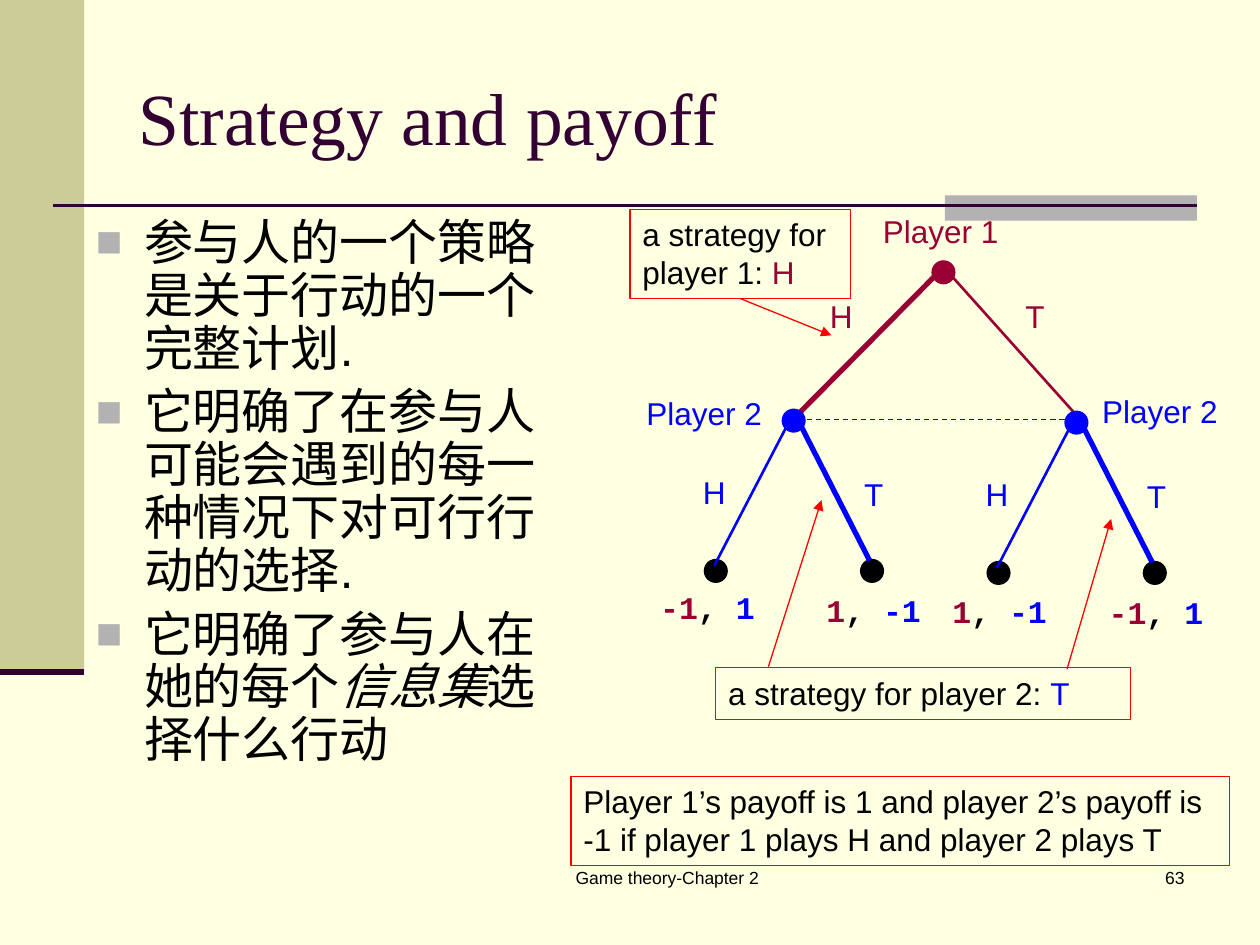
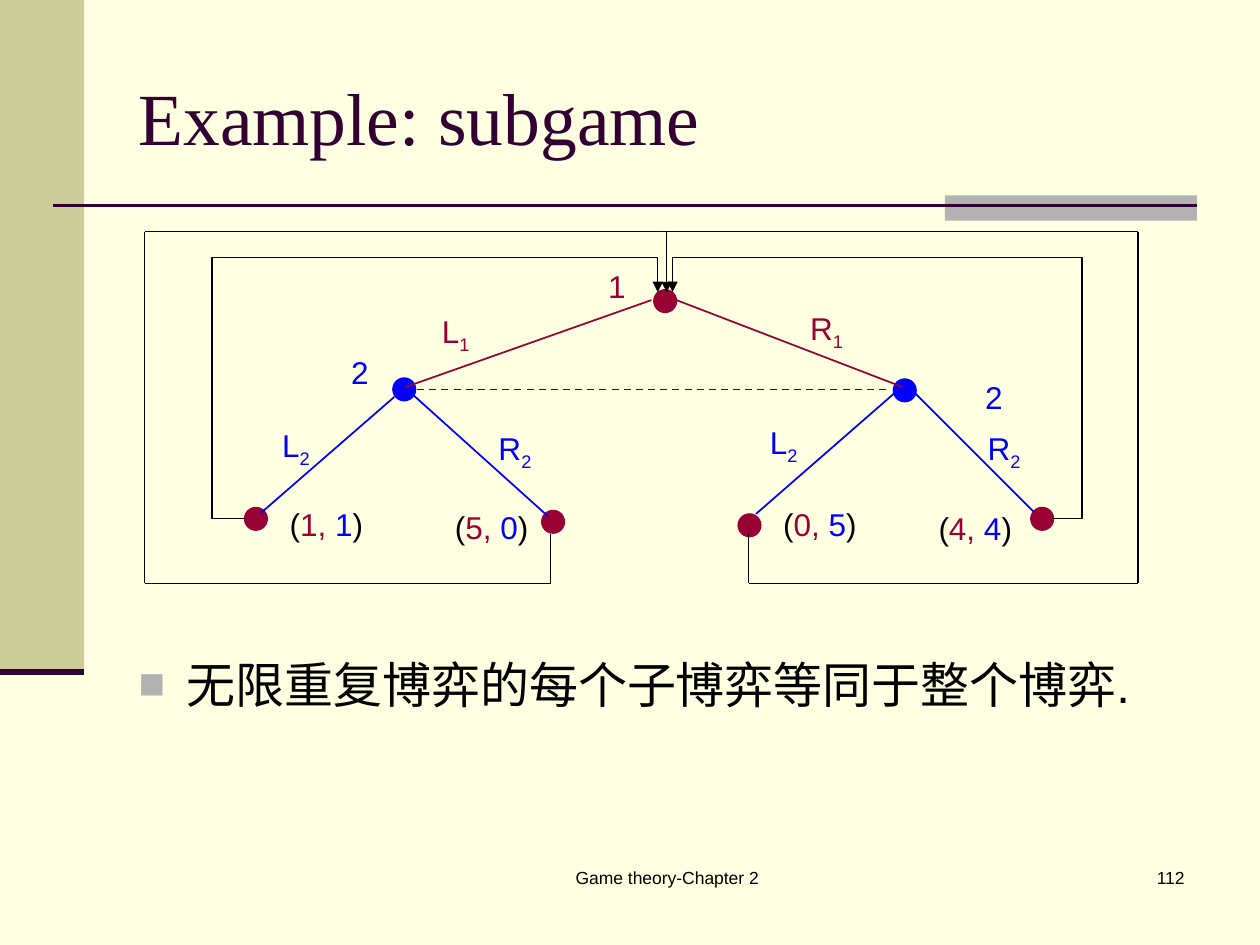
from dataclasses import dataclass
from lxml.etree import SubElement
from pptx import Presentation
from pptx.dml.color import RGBColor
from pptx.enum.dml import MSO_LINE
from pptx.enum.shapes import MSO_CONNECTOR, MSO_SHAPE
from pptx.enum.text import MSO_ANCHOR, MSO_AUTO_SIZE, PP_ALIGN
from pptx.oxml.ns import qn
from pptx.util import Cm, Pt


@dataclass(frozen=True)
class Theme:
    paper: str = "FFFFE1"
    band: str = "CCCC99"
    gray: str = "B2B2B2"
    plum: str = "330033"
    red: str = "990033"
    blue: str = "0000FF"
    black: str = "000000"
    note: str = "FF0000"
    serif: str = "Times New Roman"
    sans: str = "Arial"
    mono: str = "Courier New"
    head: int = 42
    body: int = 28
    label: int = 18
    foot: int = 10
    dot: float = 0.46


T = Theme()
FOOT = "Game theory-Chapter 2"


def pair(one, two):
    return [(one, T.red), (", ", T.black), (two, T.blue)]


def payoff(one, two):
    return [("(", T.black), (f"{one}, ", T.red), (two, T.blue), (")", T.black)]


def move(name, color, sub=""):
    return [(name, color)] + ([(sub, color, "sub")] if sub else [])


PLAN = dict(
    title="Strategy and payoff",
    page="63",
    frame=(1.68, 4.27, 10.24, 12.57),
    space=0.9,
    points=[
        [("参与人的一个策略是关于行动的一个完整计划.", T.black)],
        [("它明确了在参与人可能会遇到的每一种情况下对可行行动的选择.", T.black)],
        [("它明确了参与人在她的每个", T.black), ("信息集", T.black, "italic"),
         ("选择什么行动", T.black)],
    ],
    nodes=[(19.02, 5.49, T.red)],
    edges=[
        (18.82, 5.59, 16.08, 8.36, T.red, 3),
        (19.18, 5.56, 21.69, 8.36, T.red, 1.5),
    ],
    dash=(16.26, 8.46, 21.54, 8.46, T.blue, 0.75),
    labels=[
        (17.55, 4.14, 3.05, move("Player 1", T.red)),
        (16.48, 5.87, 0.94, move("H", T.red)),
        (20.42, 5.87, 1.02, move("T", T.red)),
        (12.78, 7.82, 2.95, move("Player 2", T.blue)),
        (21.97, 7.77, 2.95, move("Player 2", T.blue)),
    ],
    scores=[
        (13.06, 11.73, 2.46, pair("-1", "1")),
        (16.41, 11.79, 2.44, pair("1", "-1")),
        (18.95, 11.81, 2.46, pair("1", "-1")),
        (22.1, 11.84, 2.44, pair("-1", "1")),
    ],
)

HALF = dict(
    nodes=[(16, 8.48, T.blue), (14.43, 11.51, T.black), (17.58, 11.51, T.black)],
    edges=[
        (15.85, 8.61, 14.4, 11.4, T.blue, 1.5),
        (16.15, 8.59, 17.53, 11.3, T.blue, 3),
    ],
    labels=[
        (13.92, 9.42, 1.19, move("H", T.blue)),
        (17.17, 9.45, 1.04, move("T", T.blue)),
    ],
)
SHIFTS = [(0, 0), (5.7, 0.04)]

NOTES = [
    (12.7, 4.22, 4.45, 1.8, [("a strategy for player 1: ", T.black), ("H", T.red)]),
    (14.43, 13.46, 8.36, 1.04, [("a strategy for player 2: ", T.black), ("T", T.blue)]),
    (11.51, 15.65, 13.28, 1.8,
     [("Player 1’s payoff is 1 and player 2’s payoff is -1 "
       "if player 1 plays H and player 2 plays T", T.black)]),
]
HINTS = [
    (14.92, 6.02, 16.76, 6.76),
    (15.49, 13.44, 16.56, 10.08),
    (21.51, 13.49, 22.4, 10.46),
]

GAME = dict(
    title="Example: subgame",
    page="112",
    frame=(2.54, 13.06, 21.59, 3.99),
    space=1.0,
    points=[[("无限重复博弈的每个子博弈等同于整个博弈.", T.black)]],
    nodes=[
        (13.41, 6.07, T.red), (8.15, 7.85, T.blue), (18.24, 7.87, T.blue),
        (5.16, 10.46, T.red), (11.15, 10.52, T.red),
        (15.11, 10.59, T.red), (21.01, 10.46, T.red),
    ],
    edges=[
        (13.13, 6.05, 8.18, 7.8, T.red, 1),
        (13.56, 6.02, 18.19, 7.8, T.red, 1),
        (7.95, 8, 5.26, 10.34, T.blue, 1),
        (8.26, 7.9, 11.05, 10.41, T.blue, 1),
        (18.06, 7.9, 15.24, 10.36, T.blue, 1),
        (18.39, 7.87, 20.83, 10.31, T.blue, 1),
    ],
    dash=(8.41, 7.85, 17.96, 7.85, T.blue, 1),
    labels=[
        (12.01, 5.26, 1.12, move("1", T.red)),
        (8.66, 6.17, 1.19, move("L", T.red, "1")),
        (16.08, 6.1, 1.5, move("R", T.red, "1")),
        (6.83, 6.99, 0.97, move("2", T.blue)),
        (5.44, 8.46, 1.19, move("L", T.blue, "2")),
        (9.8, 8.53, 1.32, move("R", T.blue, "2")),
        (19.61, 7.49, 0.99, move("2", T.blue)),
        (15.27, 8.41, 1.19, move("L", T.blue, "2")),
        (19.66, 8.53, 1.27, move("R", T.blue, "2")),
        (5.59, 10.06, 2.13, payoff("1", "1")),
        (8.92, 10.11, 2.13, payoff("5", "0")),
        (15.54, 10.06, 2.13, payoff("0", "5")),
        (18.67, 10.13, 2.13, payoff("4", "4")),
    ],
    scores=[],
)
LOOPS = [(4.93, 10.46, 13.26, 5.89), (21.21, 10.46, 13.56, 5.89)]
LEFT, RIGHT, TOP, BASE = 2.92, 22.94, 4.67, 11.76
STEMS = [(11.1, LEFT), (15.09, RIGHT)]
STEM = 10.77
ROOT = (13.44, 5.89)


def rgb(color):
    return RGBColor.from_string(color)


def write(para, runs, size, face=T.sans, bold=None):
    para.font.name, para.font.size, para.font.bold = face, Pt(size), bold
    shades = {run[1] for run in runs}
    if len(shades) == 1:
        para.font.color.rgb = rgb(runs[0][1])
    for text, color, *style in runs:
        run = para.add_run()
        run.text = text
        if len(shades) > 1:
            run.font.color.rgb = rgb(color)
        if "italic" in style:
            run.font.italic = True
        if "sub" in style:
            run._r.get_or_add_rPr().set("baseline", "-25000")


def label(slide, x, y, w, runs, h=1.02, size=T.label, face=T.sans,
          bold=None, align=PP_ALIGN.LEFT):
    box = slide.shapes.add_textbox(Cm(x), Cm(y), Cm(w), Cm(h))
    box.text_frame.word_wrap = True
    para = box.text_frame.paragraphs[0]
    para.alignment = align
    write(para, runs, size, face, bold)


def shape(slide, kind, x, y, w, h, fill=None, line=None):
    item = slide.shapes.add_shape(kind, Cm(x), Cm(y), Cm(w), Cm(h))
    item.shadow.inherit = False
    if fill:
        item.fill.solid()
        item.fill.fore_color.rgb = rgb(fill)
    else:
        item.fill.background()
    if line:
        item.line.color.rgb = rgb(line)
        item.line.width = Pt(0.75)
    else:
        item.line.fill.background()
    return item


def link(slide, x1, y1, x2, y2, color=T.black, width=0.75,
         arrow=False, dash=False, kind=MSO_CONNECTOR.STRAIGHT):
    line = slide.shapes.add_connector(kind, Cm(x1), Cm(y1), Cm(x2), Cm(y2))
    line.line.color.rgb = rgb(color)
    line.line.width = Pt(width)
    if dash:
        line.line.dash_style = MSO_LINE.DASH
    props = line._element.spPr
    if arrow:
        SubElement(props.find(qn("a:ln")), qn("a:tailEnd"), type="triangle")
    SubElement(props, qn("a:effectLst"))
    return line


def loop(slide, ends):
    line = link(slide, *ends, arrow=True, kind=MSO_CONNECTOR.ELBOW)
    geom = line._element.spPr.find(qn("a:prstGeom"))
    geom.set("prst", "bentConnector4")
    guides = geom.find(qn("a:avLst"))
    if guides is None:
        guides = SubElement(geom, qn("a:avLst"))
    for name, value in (("adj1", -7900), ("adj2", 115400)):
        SubElement(guides, qn("a:gd"), name=name, fmla=f"val {value}")


def place(item, x, y, w, h):
    item.left, item.top, item.width, item.height = Cm(x), Cm(y), Cm(w), Cm(h)
    item.text_frame.auto_size = MSO_AUTO_SIZE.NONE
    return item.text_frame


def bullet(para):
    props = para._p.get_or_add_pPr()
    props.set("marL", str(Cm(0.97)))
    props.set("indent", str(-Cm(0.97)))
    SubElement(SubElement(props, qn("a:buClr")), qn("a:srgbClr"), val=T.gray)
    SubElement(props, qn("a:buSzPct"), val="90000")
    SubElement(props, qn("a:buFont"), typeface=T.sans)
    SubElement(props, qn("a:buChar"), char="■")


def tree(slide, nodes, edges, labels, dx=0, dy=0):
    for x, y, color in nodes:
        shape(slide, MSO_SHAPE.OVAL, x + dx - T.dot / 2, y + dy - T.dot / 2,
              T.dot, T.dot, color, color)
    for x1, y1, x2, y2, color, width in edges:
        link(slide, x1 + dx, y1 + dy, x2 + dx, y2 + dy, color, width)
    for x, y, w, runs in labels:
        label(slide, x + dx, y + dy, w, runs)


def start(deck, data):
    slide = deck.slides.add_slide(deck.slide_layouts[1])
    shape(slide, MSO_SHAPE.RECTANGLE, 0, 0, 1.7, 13.54, T.band)
    shape(slide, MSO_SHAPE.RECTANGLE, 19.05, 3.94, 5.08, 0.51, T.gray)
    link(slide, 1.07, 4.14, 24.13, 4.14, T.plum, 1.5)
    link(slide, 0, 13.54, 1.7, 13.54, T.plum, 3.5)
    label(slide, 9.32, 17.35, 8.26, [(FOOT, T.black)], 1.27, T.foot,
          align=PP_ALIGN.CENTER)
    label(slide, 18.85, 17.35, 5.28, [(data["page"], T.black)], 1.27, T.foot,
          align=PP_ALIGN.RIGHT)
    head = place(slide.shapes.title, 2.54, 0.76, 21.59, 3.18)
    head.vertical_anchor = MSO_ANCHOR.MIDDLE
    head.paragraphs[0].alignment = PP_ALIGN.LEFT
    write(head.paragraphs[0], [(data["title"], T.plum)], T.head, T.serif)
    body = place(slide.placeholders[1], *data["frame"])
    for i, runs in enumerate(data["points"]):
        para = body.add_paragraph() if i else body.paragraphs[0]
        para.line_spacing = data["space"]
        para.space_before = Pt(6 if i else 0)
        bullet(para)
        write(para, runs, T.body)
    tree(slide, data["nodes"], data["edges"], data["labels"])
    link(slide, *data["dash"], dash=True)
    for score in data["scores"]:
        label(slide, *score, face=T.mono, bold=True)
    return slide


def main():
    deck = Presentation()
    deck.slide_width, deck.slide_height = Cm(25.4), Cm(19.05)
    back = deck.slide_master.background.fill
    back.solid()
    back.fore_color.rgb = rgb(T.paper)

    plan = start(deck, PLAN)
    for dx, dy in SHIFTS:
        tree(plan, **HALF, dx=dx, dy=dy)
    boxes = []
    for x, y, w, h, runs in NOTES:
        box = shape(plan, MSO_SHAPE.RECTANGLE, x, y, w, h, line=T.note)
        box.text_frame.word_wrap = True
        box.text_frame.vertical_anchor = MSO_ANCHOR.TOP
        box.text_frame.paragraphs[0].alignment = PP_ALIGN.LEFT
        write(box.text_frame.paragraphs[0], runs, T.label)
        boxes.append(box)
    hints = [link(plan, *ends, T.note, arrow=True) for ends in HINTS]
    hints[0].begin_connect(boxes[0], 2)

    game = start(deck, GAME)
    for ends in LOOPS:
        loop(game, ends)
    for x, side in STEMS:
        link(game, x, STEM, x, BASE)
        link(game, x, BASE, side, BASE)
        link(game, side, BASE, side, TOP)
    link(game, LEFT, TOP, RIGHT, TOP)
    link(game, ROOT[0], TOP, *ROOT, arrow=True)
    deck.save("out.pptx")


if __name__ == "__main__":
    main()
